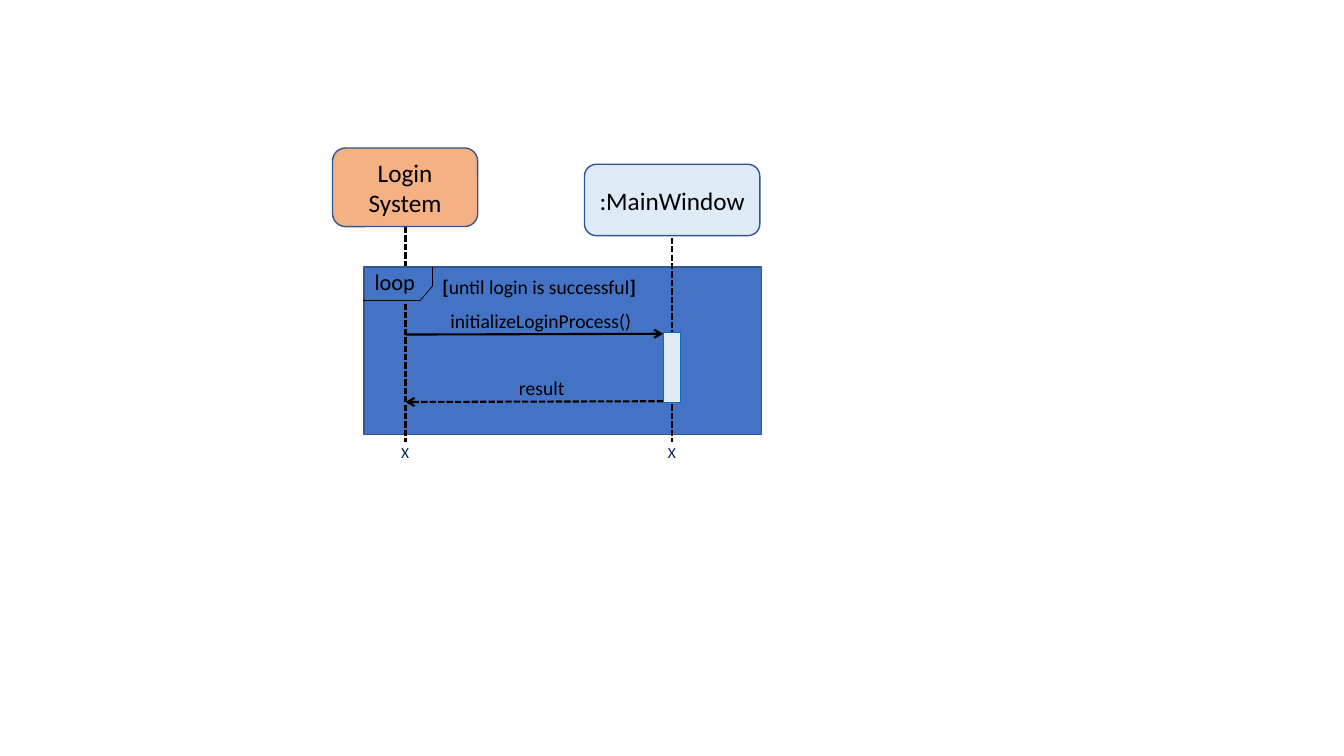
from lxml.etree import SubElement
from pptx import Presentation
from pptx.dml.color import RGBColor
from pptx.enum.dml import MSO_LINE_DASH_STYLE as DASH
from pptx.enum.shapes import MSO_CONNECTOR as CONN, MSO_SHAPE as SHAPE
from pptx.enum.text import MSO_ANCHOR as ANCHOR, MSO_AUTO_SIZE as AUTO, PP_ALIGN as ALIGN
from pptx.oxml.ns import qn
from pptx.util import Cm, Pt

COLORS = {
    "ink": "000000",
    "frame": "4472C4",
    "border": "325491",
    "system": "F4B183",
    "window": "DEEBF7",
    "active": "0070C0",
    "end": "002060",
}
LOGIN_X, WINDOW_X = 10.22, 16.94
ACTIVATION_X = 16.71
LIFELINE_END = 11.15


def color(name):
    return RGBColor.from_string(COLORS[name])


def add_run(p, text, size, ink="ink", bold=False):
    r = p.add_run()
    r.text = text
    for key, value in {"name": "Calibri", "size": Pt(size), "bold": bold}.items():
        setattr(r.font, key, value)
    r.font.color.rgb = color(ink)


def add_box(s, kind, box, fill, border="border", weight=1):
    sp = s.shapes.add_shape(kind, *map(Cm, box))
    sp.shadow.inherit = False
    sp.fill.solid()
    sp.fill.fore_color.rgb = color(fill)
    sp.line.color.rgb = color(border)
    sp.line.width = Pt(weight)
    return sp


def add_participant(s, name, box, fill):
    tf = add_box(s, SHAPE.ROUNDED_RECTANGLE, box, fill).text_frame
    for key, value in {"word_wrap": True, "vertical_anchor": ANCHOR.MIDDLE}.items():
        setattr(tf, key, value)
    p = tf.paragraphs[0]
    p.alignment = ALIGN.CENTER
    add_run(p, name, 18)


def add_label(s, runs, box, size, ink="ink"):
    tf = s.shapes.add_textbox(*map(Cm, box)).text_frame
    for key, value in {"word_wrap": False, "auto_size": AUTO.SHAPE_TO_FIT_TEXT}.items():
        setattr(tf, key, value)
    for text, bold in runs:
        add_run(tf.paragraphs[0], text, size, ink, bold)


def add_line(s, start, end, weight=1.5, dashed=False, arrow=False):
    sp = s.shapes.add_connector(CONN.STRAIGHT, *map(Cm, start + end))
    sp.line.color.rgb = color("ink")
    sp.line.width = Pt(weight)
    if dashed:
        sp.line.dash_style = DASH.SQUARE_DOT
    if arrow:
        SubElement(sp.line._get_or_add_ln(), qn("a:tailEnd"), type="arrow")
    SubElement(sp._element.spPr, qn("a:effectLst"))


def add_lifeline(s, x, top, bottom):
    add_line(s, (x, top), (x, bottom), dashed=True)


def add_loop_frame(s):
    add_box(s, SHAPE.RECTANGLE, (9.17, 6.73, 10.03, 4.22), "frame")
    tag = [(10.9, 6.73), (10.9, 7.21), (10.59, 7.57), (9.14, 7.57)]
    for start, end in zip(tag, tag[1:]):
        add_line(s, start, end, weight=0.5)
    add_label(s, [("loop", False)], (9.19, 6.63, 1.55, 0.94), 16)
    guard = [("[", True), ("until login is successful", False), ("]", True)]
    add_label(s, guard, (10.9, 6.81, 5.44, 0.86), 14)


def main():
    prs = Presentation()
    prs.slide_width, prs.slide_height = Cm(33.87), Cm(19.05)
    s = prs.slides.add_slide(prs.slide_layouts[6])

    add_lifeline(s, LOGIN_X, 5.72, 6.73)
    add_loop_frame(s)
    add_lifeline(s, LOGIN_X, 7.65, LIFELINE_END)
    add_lifeline(s, WINDOW_X, 5.99, 8.38)
    add_lifeline(s, WINDOW_X, 10.19, LIFELINE_END)
    add_box(s, SHAPE.RECTANGLE, (ACTIVATION_X, 8.38, 0.43, 1.75), "window", "active", 0.5)

    add_line(s, (LOGIN_X, 8.43), (ACTIVATION_X, 8.41), arrow=True)
    add_line(s, (ACTIVATION_X, 10.11), (LOGIN_X, 10.13), dashed=True, arrow=True)
    add_label(s, [("initializeLoginProcess()", False)], (11.1, 7.65, 5.13, 0.86), 14)
    add_label(s, [("result", False)], (12.83, 9.35, 1.68, 0.86), 14)

    add_participant(s, "Login System", (8.38, 3.73, 3.66, 1.98), "system")
    add_participant(s, ":MainWindow", (14.73, 4.14, 4.42, 1.8), "window")
    for x in (LOGIN_X, WINDOW_X):
        add_label(s, [("X", False)], (x - 0.36, 11.05, 0.71, 0.74), 11, "end")

    prs.save("out.pptx")


if __name__ == "__main__":
    main()
